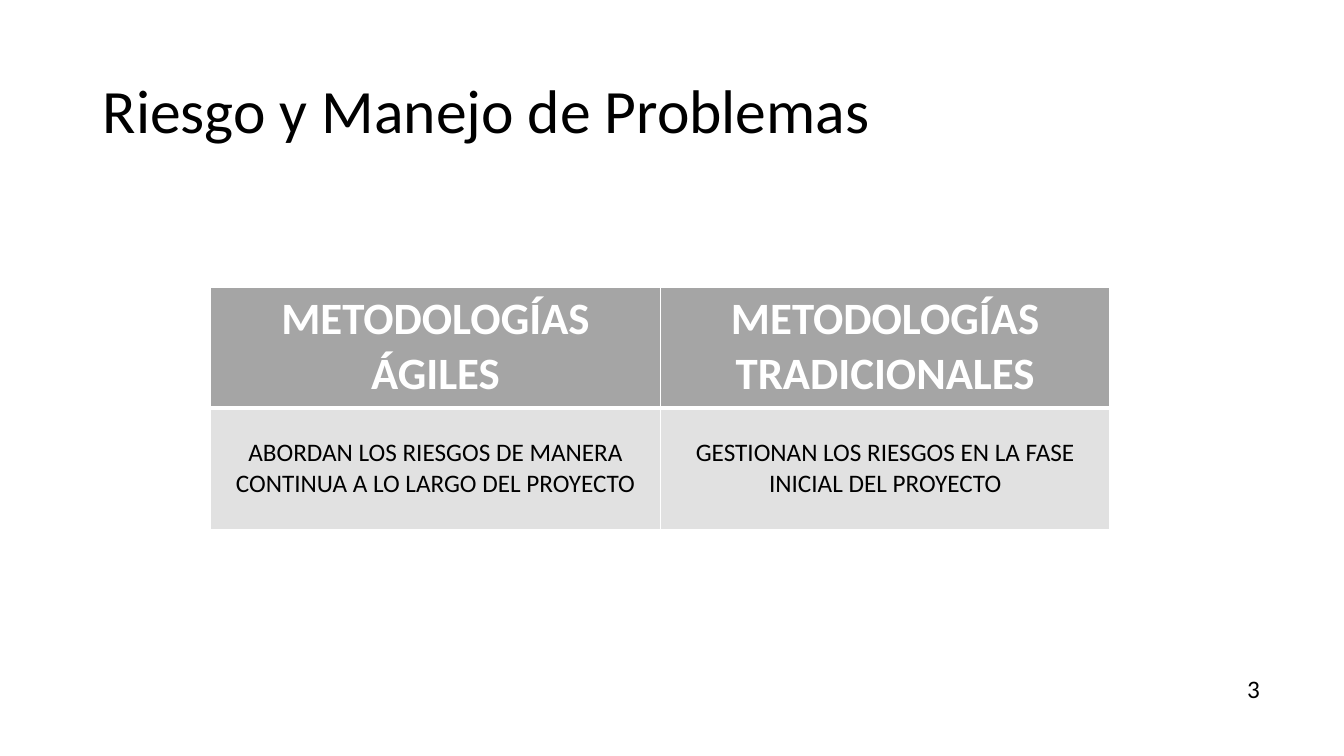
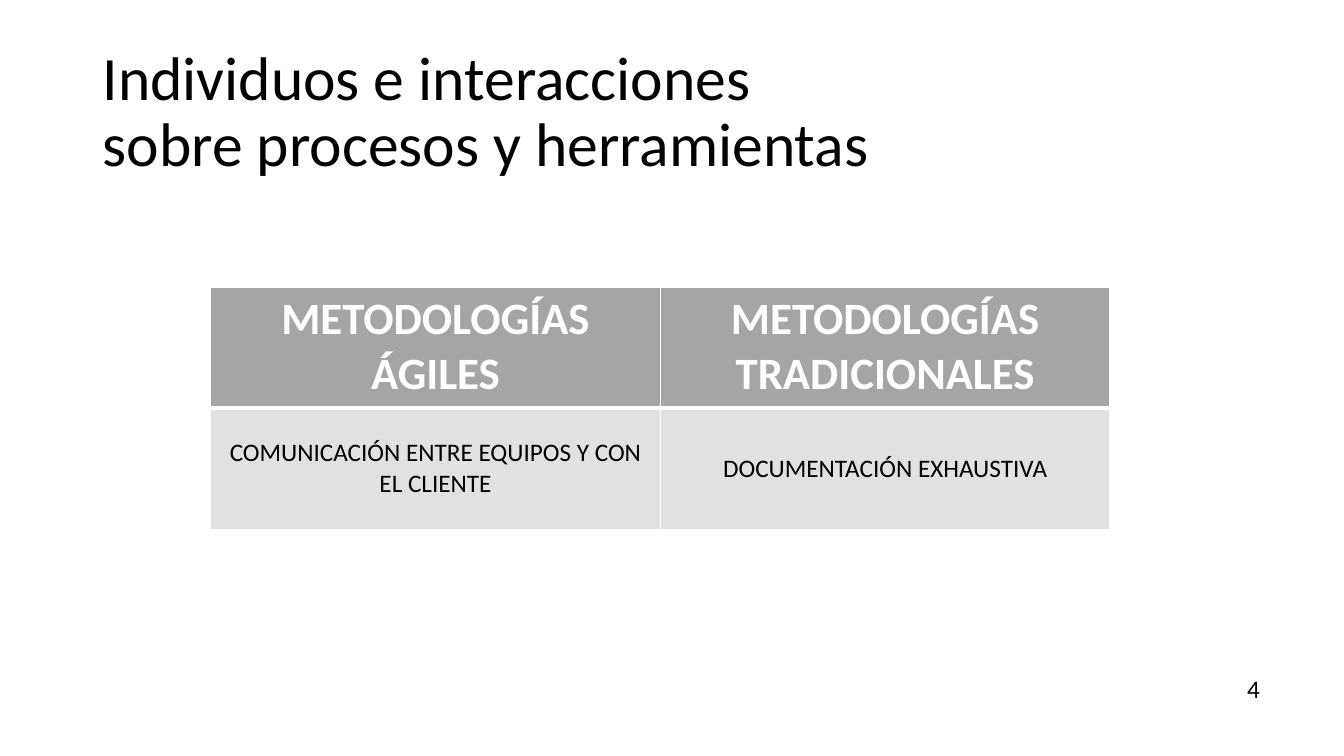
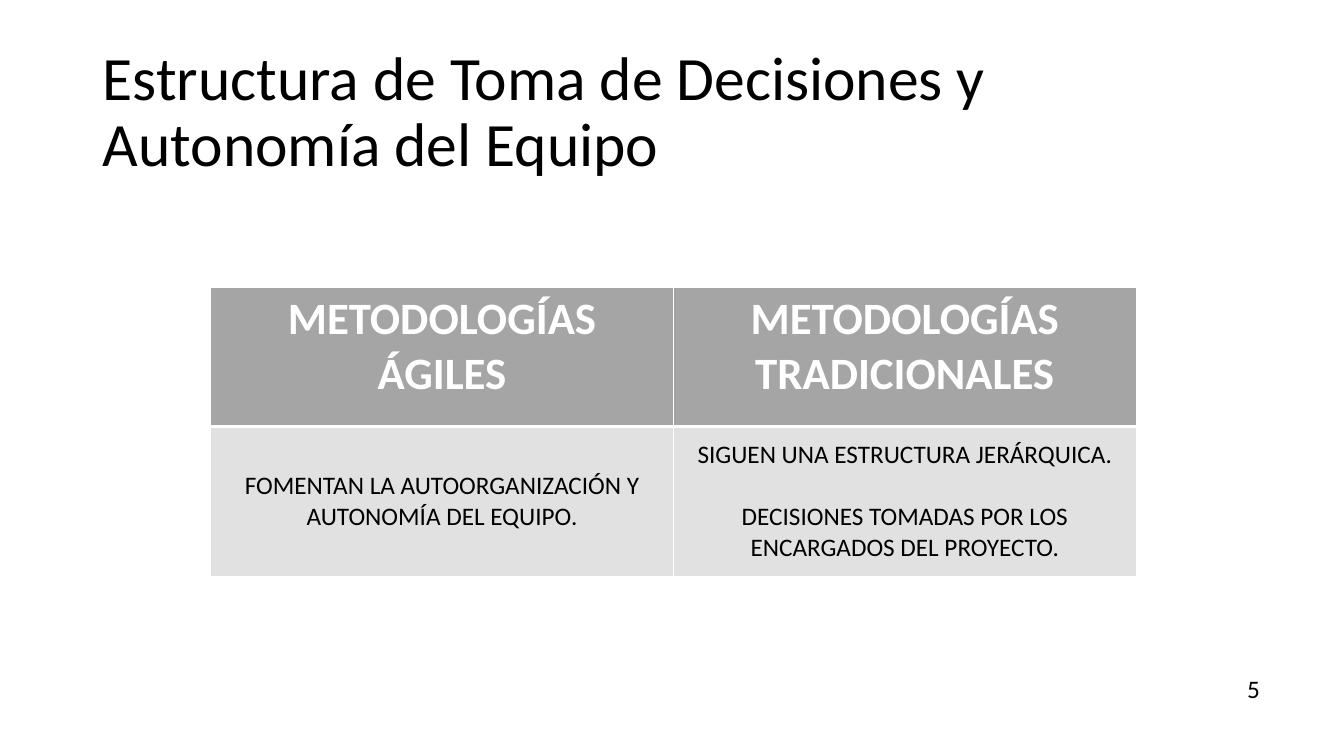
"""Build three slides comparing agile and traditional methodologies."""
from lxml.etree import SubElement as Sub
from pptx import Presentation
from pptx.dml.color import RGBColor as RGB
from pptx.enum.text import MSO_ANCHOR as Anchor, PP_ALIGN as Align
from pptx.oxml.ns import qn
from pptx.util import Inches, Pt

FONT = "Calibri"
COLORS = {"ink": "000000", "white": "FFFFFF", "head": "A5A5A5", "body": "E1E1E1"}
HEADS = ["METODOLOGÍAS ÁGILES", "METODOLOGÍAS TRADICIONALES"]
SLIDES = [
    ("Riesgo y Manejo de Problemas",
     ["ABORDAN LOS RIESGOS DE MANERA CONTINUA A LO LARGO DEL PROYECTO",
      "GESTIONAN LOS RIESGOS EN LA FASE INICIAL DEL PROYECTO"],
     4.46, (1.2, 1.2)),
    ("Individuos e interacciones\vsobre procesos y herramientas",
     ["COMUNICACIÓN ENTRE EQUIPOS Y CON EL CLIENTE",
      "DOCUMENTACIÓN EXHAUSTIVA"],
     4.46, (1.2, 1.2)),
    ("Estructura de Toma de Decisiones y Autonomía del Equipo",
     ["FOMENTAN LA AUTOORGANIZACIÓN Y AUTONOMÍA DEL EQUIPO.",
      "SIGUEN UNA ESTRUCTURA JERÁRQUICA.\n"
      "DECISIONES TOMADAS POR LOS ENCARGADOS DEL PROYECTO."],
     4.59, (1.38, 1.49)),
]


class Deck:
    def __init__(self):
        self.prs = Presentation()
        self.prs.slide_width = Inches(13.33)
        self.prs.slide_height = Inches(7.5)
        self.slide = None

    def add(self):
        self.slide = self.prs.slides.add_slide(self.prs.slide_layouts[6])

    def style(self, frame, size, color="ink", bold=False):
        for para in frame.paragraphs:
            for run in para.runs:
                font = run.font
                font.name, font.size, font.bold = FONT, Pt(size), bold
                font.color.rgb = RGB.from_string(COLORS[color])

    def text(self, text, box, size):
        frame = self.slide.shapes.add_textbox(*map(Inches, box)).text_frame
        frame.word_wrap = True
        frame.paragraphs[0].text = text
        self.style(frame, size)
        return frame

    def title(self, text):
        frame = self.text(text, (0.92, 0.4, 11.5, 1.45), 44)
        frame.vertical_anchor = Anchor.MIDDLE
        frame.paragraphs[0].line_spacing = 0.9

    def number(self, num):
        self.text(str(num), (12.27, 6.63, 0.48, 0.4), 18)

    def border(self, cell, thick):
        props = cell._tc.get_or_add_tcPr()
        for side in "LRTB":
            width = Pt(3 if side == thick else 1)
            line = Sub(props, qn(f"a:ln{side}"), w=str(width))
            fill = Sub(line, qn("a:solidFill"))
            Sub(fill, qn("a:srgbClr"), val=COLORS["white"])

    def cell(self, cell, text, head):
        self.border(cell, "B" if head else "T")
        cell.fill.solid()
        cell.fill.fore_color.rgb = RGB.from_string(COLORS["head" if head else "body"])
        cell.vertical_anchor = Anchor.TOP if head else Anchor.MIDDLE
        frame = cell.text_frame
        frame.text = text
        for para in frame.paragraphs:
            para.alignment = Align.CENTER
        for para in frame.paragraphs[1:]:
            para.space_before = Pt(22)
        if head:
            self.style(frame, 32, "white", True)
        else:
            self.style(frame, 18)

    def table(self, rows, width, heights):
        count = len(rows[0])
        box = (2.09, 2.85, width * count, sum(heights))
        table = self.slide.shapes.add_table(len(rows), count, *map(Inches, box)).table
        for col in table.columns:
            col.width = Inches(width)
        for r, texts in enumerate(rows):
            table.rows[r].height = Inches(heights[r])
            for c, text in enumerate(texts):
                self.cell(table.cell(r, c), text, r == 0)


def main():
    deck = Deck()
    for num, (title, body, width, heights) in enumerate(SLIDES, 3):
        deck.add()
        deck.title(title)
        deck.number(num)
        deck.table([HEADS, body], width, heights)
    deck.prs.save("out.pptx")


if __name__ == "__main__":
    main()
